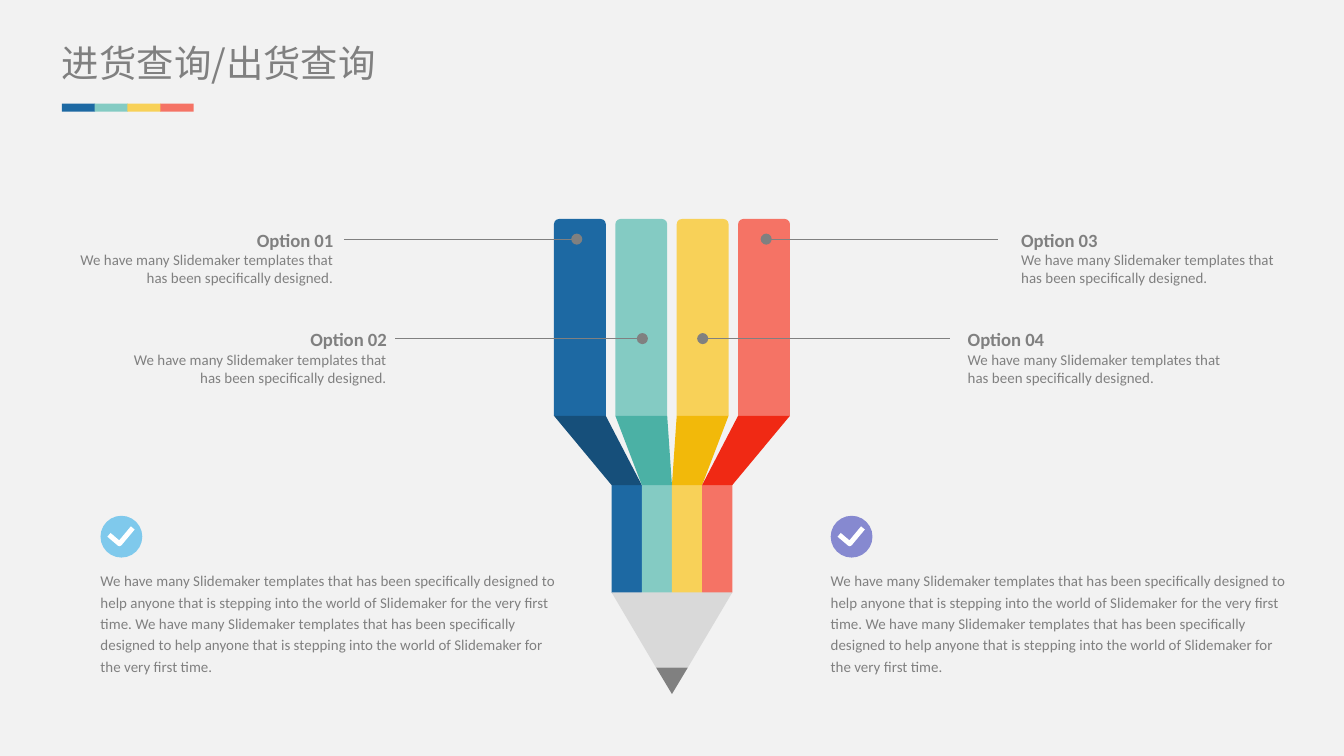
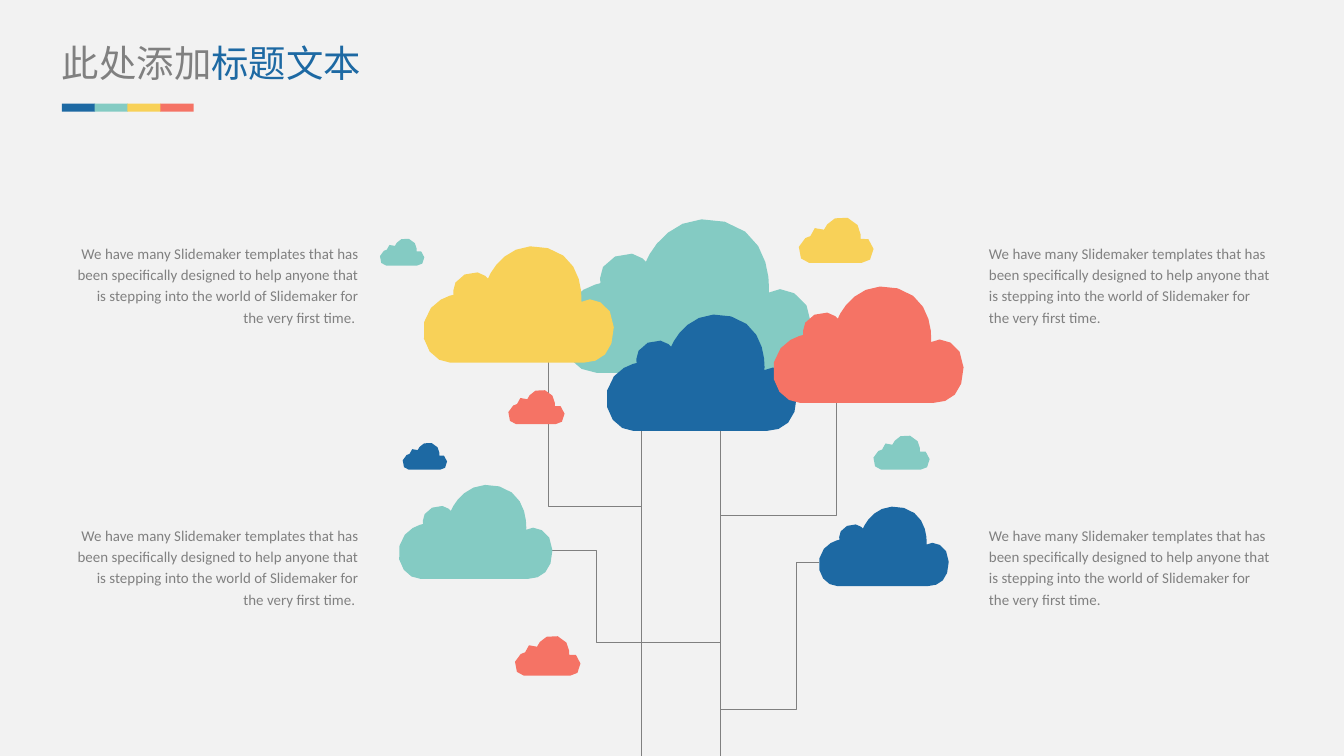
"""Build two slides: a pencil with four options and a tree of clouds."""
from lxml import etree
from pptx import Presentation
from pptx.dml.color import RGBColor
from pptx.enum import shapes, text
from pptx.oxml.ns import qn
from pptx.util import Cm, Pt

BLUE = RGBColor(0x1D, 0x69, 0xA3)
TEAL = RGBColor(0x84, 0xCB, 0xC3)
GOLD = RGBColor(0xF8, 0xD1, 0x58)
RED = RGBColor(0xF5, 0x73, 0x65)
NAVY = RGBColor(0x16, 0x4F, 0x7A)
GREEN = RGBColor(0x4B, 0xB1, 0xA5)
AMBER = RGBColor(0xF2, 0xB9, 0x0A)
FLAME = RGBColor(0xF0, 0x29, 0x14)
SKY = RGBColor(0x7F, 0xC9, 0xEC)
LILAC = RGBColor(0x86, 0x89, 0xD0)
GREY = RGBColor(0x80, 0x80, 0x80)
WOOD = RGBColor(0xD9, 0xD9, 0xD9)
PAPER = RGBColor(0xF2, 0xF2, 0xF2)
WHITE = RGBColor(0xFF, 0xFF, 0xFF)

BODY = "Calibri"
HEAD = "Noto Sans CJK SC"
HUES = [BLUE, TEAL, GOLD, RED]
DARKS = [NAVY, GREEN, AMBER, FLAME]
WIDE, TALL = 25.4, 14.29
MID = WIDE / 2

QUERY = [("进货查询/出货查询", GREY)]
TOPIC = [("此处添加", GREY), ("标题文本", BLUE)]

SHORT = "We have many Slidemaker templates that has been specifically designed."
LONG = ("We have many Slidemaker templates that has been specifically designed to "
        "help anyone that is stepping into the world of Slidemaker for the very first time.")

# name, text left, text top, line start, line end, right side
OPTIONS = [
    ("Option 01", 1.3, 4.32, 6.5, 10.9, False),
    ("Option 02", 2.31, 6.2, 7.47, 12.14, False),
    ("Option 03", 19.3, 4.32, 14.48, 18.87, True),
    ("Option 04", 18.29, 6.2, 13.28, 17.96, True),
]
CHECKS = [(1.9, SKY), (15.7, LILAC)]
TICK = [(0.16, 0.36), (0.36, 0.53), (0.61, 0.23)]

TRUNKS = [12.12, 13.61]
TWIGS = [
    [(10.36, 6.55), (10.36, 9.57), (12.12, 9.57)],
    [(13.61, 9.75), (15.8, 9.75), (15.8, 7.62)],
    [(15.47, 10.64), (15.06, 10.64), (15.06, 13.41), (13.61, 13.41)],
    [(13.61, 12.14), (11.28, 12.14), (11.28, 10.41), (10.44, 10.41)],
]
NOTES = [(18.69, False), (1.4, True)]
CLOUDS = [
    (10.49, 3.94, 4.85, TEAL), (7.92, 4.5, 3.68, GOLD),
    (15.06, 4.04, 1.45, GOLD), (7.16, 4.47, 0.86, TEAL),
    (7.59, 8.33, 0.86, BLUE), (16.48, 8.18, 1.09, TEAL),
    (7.47, 9.04, 2.97, TEAL), (15.42, 9.47, 2.51, BLUE),
    (9.7, 11.96, 1.27, RED), (9.58, 7.32, 1.09, RED),
    (11.38, 5.79, 3.68, BLUE), (14.53, 5.26, 3.68, RED),
]
# number of straight pieces, then two control points and an end point
PUFF = [
    (1, (51, 123), (145, 123), (162, 123)),
    (4, (179, 123), (192, 113), (192, 88)),
    (4, (192, 63), (168, 56), (160, 63)),
    (6, (160, 63), (164, 20), (127, 10)),
    (6, (89, 0), (71, 32), (68, 40)),
    (3, (68, 40), (60, 29), (45, 36)),
    (3, (31, 42), (34, 56), (34, 56)),
    (4, (34, 56), (10, 60), (5, 83)),
    (4, (0, 107), (16, 123), (31, 123)),
]
SPAN = 192
SMALL = 2


def write(slide, box, paras, size=8, color=GREY, font=BODY, right=False, gap=None):
    """Add a text box; each paragraph is a list of (text, format) runs."""
    area = slide.shapes.add_textbox(*map(Cm, box))
    frame = area.text_frame
    frame.word_wrap = True
    frame.auto_size = text.MSO_AUTO_SIZE.SHAPE_TO_FIT_TEXT
    frame.margin_left = frame.margin_right = frame.margin_top = frame.margin_bottom = 0
    for i, runs in enumerate(paras):
        para = frame.paragraphs[0] if i == 0 else frame.add_paragraph()
        para.alignment = text.PP_ALIGN.RIGHT if right else text.PP_ALIGN.LEFT
        if gap:
            para.line_spacing = gap
        for words, form in runs:
            run = para.add_run()
            run.text = words
            run.font.size = Pt(form.get("size", size))
            run.font.bold = form.get("bold", False)
            run.font.color.rgb = form.get("color", color)
            run.font.name = font
            etree.SubElement(run._r.get_or_add_rPr(), qn("a:ea"), typeface=font)


def paint(shape, fill=None, line=None, width=0.5):
    """Set the fill and line of a shape and drop its shadow."""
    shape.shadow.inherit = False
    if fill is None:
        shape.fill.background()
    else:
        shape.fill.solid()
        shape.fill.fore_color.rgb = fill
    if line is None:
        shape.line.fill.background()
    else:
        shape.line.color.rgb = line
        shape.line.width = Pt(width)


def preset(slide, kind, box, fill):
    """Add a filled preset shape."""
    shape = slide.shapes.add_shape(kind, *map(Cm, box))
    paint(shape, fill)
    return shape


def trace(slide, points, close=True, **style):
    """Add a freeform through points."""
    dots = [(Cm(x), Cm(y)) for x, y in points]
    build = slide.shapes.build_freeform(*dots[0])
    build.add_line_segments(dots[1:], close=close)
    paint(build.convert_to_shape(), **style)


def rule(slide, x1, y1, x2, y2, dot=None):
    """Add a thin grey line, with a dot at headEnd or tailEnd."""
    line = slide.shapes.add_connector(
        shapes.MSO_CONNECTOR.STRAIGHT, *map(Cm, (x1, y1, x2, y2)))
    line.line.color.rgb = GREY
    line.line.width = Pt(0.5)
    props = line._element.spPr
    if dot:
        etree.SubElement(props.find(qn("a:ln")), qn("a:" + dot), type="oval")
    etree.SubElement(props, qn("a:effectLst"))


def start(deck, title):
    """Add a slide with its background, title and colour strip."""
    slide = deck.slides.add_slide(deck.slide_layouts[6])
    slide.background.fill.solid()
    slide.background.fill.fore_color.rgb = PAPER
    runs = [(words, {"color": hue}) for words, hue in title]
    write(slide, (1.17, 0.76, 7.72, 0.86), [runs], size=20, font=HEAD)
    for i, hue in enumerate(HUES):
        preset(slide, shapes.MSO_SHAPE.RECTANGLE, (1.17 + 0.62 * i, 1.96, 0.63, 0.15), hue)
    return slide


def pencil(slide):
    """Draw the four-colour pencil, centred on the slide."""
    top, bend, neck, tip, lead, end = 4.14, 7.86, 9.17, 11.2, 12.62, 13.12
    wide, pitch, slim, nib = 0.98, 1.16, 0.57, 0.3
    left = MID - (3 * pitch + wide) / 2
    inner = MID - 2 * slim
    for i, (hue, dark) in enumerate(zip(HUES, DARKS)):
        x, n = left + i * pitch, inner + i * slim
        bar = preset(slide, shapes.MSO_SHAPE.ROUND_2_SAME_RECTANGLE,
                     (x, top, wide, bend - top), hue)
        bar.adjustments[0] = 0.1
        trace(slide, [(n + slim, tip), (n + slim / 2, tip + slim / 2), (n, tip),
                      (n, neck), (n + slim, neck)], fill=hue)
        trace(slide, [(n + slim, neck), (n, neck), (x, bend), (x + wide, bend)], fill=dark)
    trace(slide, [(WIDE - inner, tip), (inner, tip), (MID - nib, lead), (MID + nib, lead)],
          fill=WOOD)
    trace(slide, [(MID + nib, lead), (MID - nib, lead), (MID, end)], fill=GREY)


def cloud(slide, x, y, wide, hue):
    """Draw one cloud, with fewer points when it is small."""
    last = PUFF[-1][-1]
    dots = [last]
    for count, *rest in PUFF:
        quad = [last, *rest]
        steps = count if wide > SMALL else max(1, count // 2)
        for k in range(1, steps + 1):
            t = k / steps
            mix = ((1 - t) ** 3, 3 * t * (1 - t) ** 2, 3 * t * t * (1 - t), t ** 3)
            dots.append([sum(m * p[a] for m, p in zip(mix, quad)) for a in (0, 1)])
        last = quad[-1]
    size = wide / SPAN
    trace(slide, [(x + a * size, y + b * size) for a, b in dots[:-1]], fill=hue)


def options(deck):
    """Build the pencil slide."""
    slide = start(deck, QUERY)
    pencil(slide)
    for name, x, y, x1, x2, east in OPTIONS:
        write(slide, (x, y, 5, 1.09),
              [[(name, {"size": 10, "bold": True})], [(SHORT, {})]], right=not east)
        rule(slide, x1, y + 0.2, x2, y + 0.2, "headEnd" if east else "tailEnd")
    for x, hue in CHECKS:
        y = 9.75
        preset(slide, shapes.MSO_SHAPE.OVAL, (x, y, 0.79, 0.79), hue)
        trace(slide, [(x + a, y + b) for a, b in TICK], close=False,
              fill=hue, line=WHITE, width=2.63)
        write(slide, (x, 10.74, 8.61, 2.06), [[(LONG + " " + LONG, {})]], gap=1.2)


def tree(deck):
    """Build the cloud tree slide."""
    slide = start(deck, TOPIC)
    for x in TRUNKS:
        rule(slide, x, 8.03, x, TALL)
    for twig in TWIGS:
        trace(slide, twig, close=False, line=GREY)
    for x, right in NOTES:
        for y in (4.55, 9.88):
            words = LONG + " " if right else LONG
            write(slide, (x, y, 5.38, 1.65), [[(words, {})]], right=right, gap=1.2)
    for spot in CLOUDS:
        cloud(slide, *spot)


def main():
    """Build and save the deck."""
    deck = Presentation()
    deck.slide_width, deck.slide_height = Cm(WIDE), Cm(TALL)
    options(deck)
    tree(deck)
    deck.save("out.pptx")


if __name__ == "__main__":
    main()
